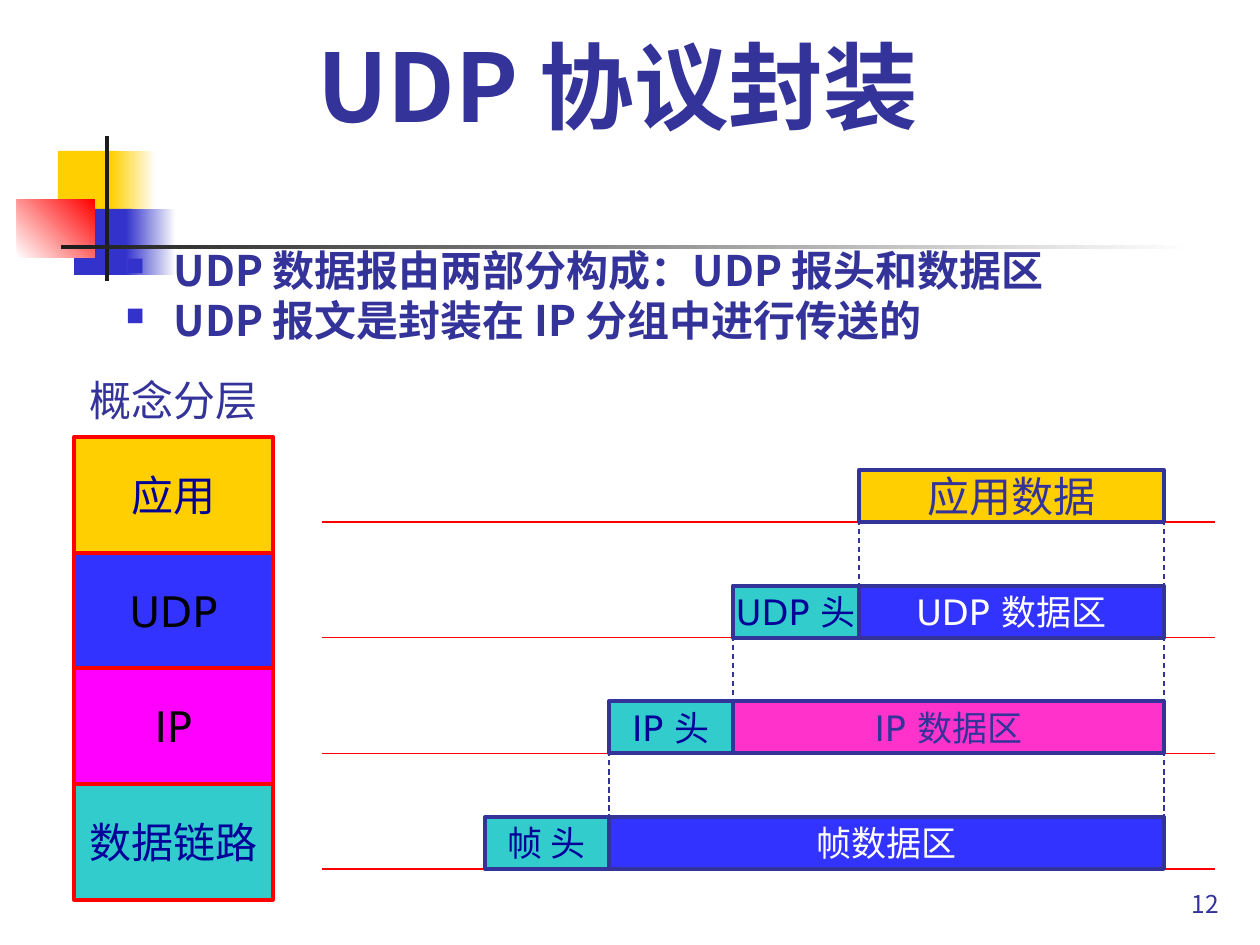
from lxml import etree
from pptx import Presentation
from pptx.dml.color import RGBColor
from pptx.enum import dml, shapes, text
from pptx.oxml import ns
from pptx.util import Emu, Pt

SCALE = 914400 / 126  # EMU per px
THEME = {
    "navy": "333399", "ink": "000099", "black": "000000", "white": "FFFFFF",
    "gold": "FFCF01", "indigo": "3333CC", "blue": "3333FF", "teal": "33CCCC",
    "magenta": "FF00FF", "pink": "FF33CC", "red": "FF0000", "charcoal": "1C1C1C",
    "cjk": "Noto Sans CJK JP", "sans": "DejaVu Sans",
    "title": 54, "body": 24, "label": 20, "number": 14, "border": 2.25, "hairline": 0.75,
}

presentation = Presentation()
presentation.slide_width = Emu(round(1260 * SCALE))
presentation.slide_height = Emu(round(945 * SCALE))
slide = presentation.slides.add_slide(presentation.slide_layouts[6])


def color(name):
    return RGBColor.from_string(THEME[name])


def add_box(left, top, width, height, content="", *, fill=None, fade=None, angle=0,
            line=None, size="body", font="sans", ink="navy", bold=False, wrap=False,
            align=text.PP_ALIGN.CENTER, anchor=text.MSO_ANCHOR.MIDDLE, insets=(0, 0)):
    """Add a rectangle or text box; each line of content becomes a paragraph."""
    box = [Emu(round(value * SCALE)) for value in (left, top, width, height)]
    if fill:
        shape = slide.shapes.add_shape(shapes.MSO_SHAPE.RECTANGLE, *box)
        shape.shadow.inherit = False
    else:
        shape = slide.shapes.add_textbox(*box)
    if fade:
        shape.fill.gradient()
        shape.fill.gradient_angle = angle
        for stop, name in zip(shape.fill.gradient_stops, (fill, fade)):
            stop.color.rgb = color(name)
    elif fill:
        shape.fill.solid()
        shape.fill.fore_color.rgb = color(fill)
    if line:
        shape.line.color.rgb = color(line)
        shape.line.width = Pt(THEME["border"])
    else:
        shape.line.fill.background()
    if not content:
        return shape
    frame = shape.text_frame
    frame.word_wrap = wrap
    frame.vertical_anchor = anchor
    frame.margin_left = frame.margin_right = Emu(round(insets[0] * SCALE))
    frame.margin_top = frame.margin_bottom = Emu(round(insets[1] * SCALE))
    frame.text = content
    for paragraph in frame.paragraphs:
        paragraph.alignment = align
        run_font = paragraph.runs[0].font
        run_font.size = Pt(THEME[size])
        run_font.bold = bold
        run_font.color.rgb = color(ink)
        run_font.name = THEME[font]
        east_asian = etree.SubElement(paragraph.runs[0]._r.rPr, ns.qn("a:ea"))
        east_asian.set("typeface", THEME["cjk"])
    return shape


def add_line(x1, y1, x2, y2, name, dashed=False):
    ends = [Emu(round(value * SCALE)) for value in (x1, y1, x2, y2)]
    connector = slide.shapes.add_connector(shapes.MSO_CONNECTOR.STRAIGHT, *ends)
    connector.line.color.rgb = color(name)
    connector.line.width = Pt(THEME["hairline"])
    if dashed:
        connector.line.dash_style = dml.MSO_LINE.DASH
    etree.SubElement(connector._element.spPr, ns.qn("a:effectLst"))


# Corner ornament and rule under the title
add_box(58, 151, 60, 66, fill="gold")
add_box(111, 151, 45, 66, fill="gold", fade="white")
add_box(74, 209, 58, 66, fill="indigo")
add_box(126, 209, 50, 66, fill="indigo", fade="white")
add_box(17, 199, 78, 59, fill="white", fade="red", angle=45)
add_box(105, 136, 4, 145, fill="charcoal")
add_box(61, 245, 1134, 4, fill="charcoal", fade="white")

# Title
add_box(92, 25, 1051, 116, "UDP 协议封装", size="title", font="cjk", bold=True,
        wrap=True, anchor=text.MSO_ANCHOR.BOTTOM)

# Bulleted body
body = add_box(113, 244, 1071, 130,
               "UDP 数据报由两部分构成：UDP 报头和数据区\nUDP 报文是封装在 IP 分组中进行传送的",
               font="cjk", bold=True, wrap=True, align=text.PP_ALIGN.LEFT,
               anchor=text.MSO_ANCHOR.TOP, insets=(13, 0))
for paragraph in body.text_frame.paragraphs:
    properties = paragraph._p.get_or_add_pPr()
    indent = round(48 * SCALE)
    properties.set("marL", str(indent))
    properties.set("indent", str(-indent))
    bullet_color = etree.SubElement(properties, ns.qn("a:buClr"))
    etree.SubElement(bullet_color, ns.qn("a:srgbClr")).set("val", THEME["indigo"])
    etree.SubElement(properties, ns.qn("a:buSzPct")).set("val", "60000")
    etree.SubElement(properties, ns.qn("a:buChar")).set("char", "■")

# Conceptual layer stack
PITCH = 347 / 3
LAYERS = [("应用", "gold", "ink"), ("UDP", "blue", "black"),
          ("IP", "magenta", "black"), ("数据链路", "teal", "ink")]
add_box(74, 363, 199, 73, "概念分层", insets=(13, 6))
for row, (name, fill, ink) in enumerate(LAYERS):
    add_box(74, 437 + row * PITCH, 199, PITCH, name, fill=fill, line="red", ink=ink,
            insets=(13, 6))

# Base line of each layer
baselines = [522 + row * PITCH for row in range(len(LAYERS))]
for baseline in baselines:
    add_line(322, baseline, 1215, baseline, "red")

# Encapsulation: every header extends the unit above it to the left
RIGHT, HEIGHT = 1164, 52
UNITS = [("UDP 头", 733, "UDP 数据区", "blue", "white"),
         ("IP 头", 609, "IP 数据区", "pink", "navy"),
         ("帧 头", 485, "帧数据区", "blue", "white")]
data_left = 859
add_box(data_left, baselines[0] - HEIGHT, RIGHT - data_left, HEIGHT, "应用数据",
        fill="gold", line="navy", insets=(13, 6))
for above, baseline, unit in zip(baselines, baselines[1:], UNITS):
    header, header_left, data, fill, ink = unit
    top = baseline - HEIGHT
    add_box(header_left, top, data_left - header_left, HEIGHT, header, fill="teal",
            line="navy", size="label", ink="ink")
    add_box(data_left, top, RIGHT - data_left, HEIGHT, data, fill=fill, line="navy",
            size="label", ink=ink, insets=(13, 6))
    for x in (data_left, RIGHT):
        add_line(x, above - 2, x, top + 4, "navy", dashed=True)
    data_left = header_left

# Slide number
add_box(970, 861, 262, 63, "12", size="number", font="cjk", wrap=True,
        align=text.PP_ALIGN.RIGHT, anchor=text.MSO_ANCHOR.BOTTOM, insets=(13, 6))

presentation.save("out.pptx")
